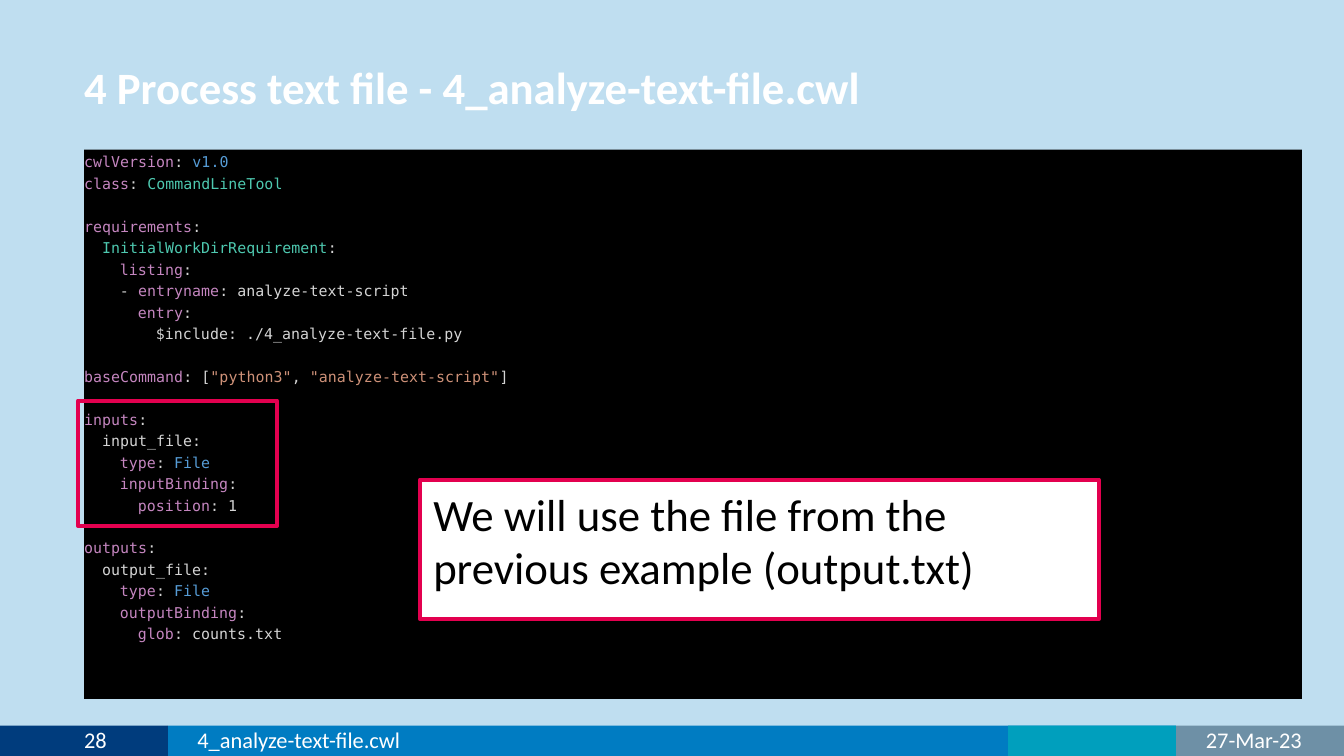
from pptx import Presentation
from pptx.dml.color import RGBColor
from pptx.enum.shapes import MSO_SHAPE
from pptx.enum.text import MSO_ANCHOR, MSO_AUTO_SIZE, PP_ALIGN
from pptx.oxml.ns import qn
from pptx.util import Inches, Pt

COLS, ROWS, UNIT = 16, 9, 0.625
INDENT = Pt(9.63)
COLORS = {
    "sky": "BFDEF0", "slate": "6E90A6", "blue": "007CC2", "navy": "003C7D",
    "teal": "009FBD", "red": "E3004F", "white": "FFFFFF", "black": "000000",
    "key": "C586C0", "code": "D4D4D4", "word": "569CD6", "kind": "4EC9B0",
    "text": "CE9178",
}
BARS = [("slate", 14, 2), ("blue", 2, 12), ("navy", 0, 2), ("teal", 12, 2)]
FOOTER = [
    ("28", 1, 0.9, PP_ALIGN.LEFT),
    ("4_analyze-text-file.cwl", 2.35, 9.65, PP_ALIGN.LEFT),
    ("27-Mar-23", 14, 1.5, PP_ALIGN.RIGHT),
]


def color(name):
    """Return the named colour."""
    return RGBColor.from_string(COLORS[name])


def grid(*cells):
    """Turn grid columns and rows into lengths."""
    return [Inches(cell * UNIT) for cell in cells]


def place(shape, *cells):
    """Move a shape to a spot on the grid."""
    shape.left, shape.top, shape.width, shape.height = grid(*cells)


def frame(shape, anchor=MSO_ANCHOR.TOP, pad=(0, 0, 0, 0)):
    """Set up and return the text frame of a shape."""
    tf = shape.text_frame
    tf.word_wrap = True
    tf.auto_size = MSO_AUTO_SIZE.NONE
    tf.vertical_anchor = anchor
    tf.margin_left, tf.margin_top, tf.margin_right, tf.margin_bottom = map(Inches, pad)
    return tf


def write(para, text, size=12, font="Calibri", tone="white", bold=False,
          align=PP_ALIGN.LEFT):
    """Add a formatted run to a paragraph."""
    para.alignment = align
    run = para.add_run()
    run.text = text
    run.font.size, run.font.name, run.font.bold = Pt(size), font, bold
    run.font.color.rgb = color(tone)


def rect(slide, *cells, fill=None, line=None):
    """Add a rectangle with an optional fill and outline."""
    shape = slide.shapes.add_shape(MSO_SHAPE.RECTANGLE, *grid(*cells))
    shape.shadow.inherit = False
    if fill:
        shape.fill.solid()
        shape.fill.fore_color.rgb = color(fill)
    else:
        shape.fill.background()
    if line:
        shape.line.color.rgb = color(line)
        shape.line.width = Pt(2.25)
    else:
        shape.line.fill.background()
    return shape


def entry(depth, key, value="", tone="code", gap=False, lead="", head="key"):
    """Describe one line of code as depth, gap and coloured runs."""
    runs = [(lead, "code"), (key, head), (": " if value else ":", "code"), (value, tone)]
    return depth, gap, [run for run in runs if run[0]]


def port(side, bind, value):
    """Describe the block for one side of the tool."""
    return [
        entry(0, f"{side}s", gap=True),
        entry(1, f"{side}_file", head="code"),
        entry(2, "type", "File", "word"),
        entry(2, f"{side}Binding"),
        entry(3, bind, value),
    ]


def listing():
    """Return all lines of code."""
    base = entry(0, "baseCommand", "[", gap=True)
    base[2].extend([('"python3"', "text"), (", ", "code"),
                    ('"analyze-text-script"', "text"), ("]", "code")])
    return [
        entry(0, "cwlVersion", "v1.0", "word"),
        entry(0, "class", "CommandLineTool", "kind"),
        entry(0, "requirements", gap=True),
        entry(1, "InitialWorkDirRequirement", head="kind"),
        entry(2, "listing"),
        entry(2, "entryname", "analyze-text-script", lead="- "),
        entry(3, "entry"),
        entry(4, "$include", "./4_analyze-text-file.py", head="code"),
        base,
        *port("input", "position", "1"),
        *port("output", "glob", "counts.txt"),
    ]


def code(body):
    """Fill the body placeholder with the code."""
    place(body, 1, 1.78, 14.5, 6.54)
    body.fill.solid()
    body.fill.fore_color.rgb = color("black")
    tf = frame(body)
    for num, (depth, gap, runs) in enumerate(listing()):
        para = tf.add_paragraph() if num else tf.paragraphs[0]
        para.line_spacing = 1.2
        para.space_before, para.space_after = Pt(11.5 if gap else 0), Pt(0)
        props = para._p.get_or_add_pPr()
        props.set("marL", str(INDENT * depth))
        props.set("indent", "0")
        props.append(props.makeelement(qn("a:buNone"), {}))
        for text, tone in runs:
            write(para, text, size=8, font="DejaVu Sans Mono", tone=tone)


def main():
    """Build and save the slide."""
    deck = Presentation()
    deck.slide_width, deck.slide_height = grid(COLS, ROWS)
    slide = deck.slides.add_slide(deck.slide_layouts[1])
    slide.background.fill.solid()
    slide.background.fill.fore_color.rgb = color("sky")
    for fill, left, width in BARS:
        rect(slide, left, 8.64, width, 0.36, fill=fill)
    title, body = slide.placeholders
    code(body)
    place(title, 1, 0, 11.6, 1.49)
    para = frame(title, MSO_ANCHOR.BOTTOM, (0, 0, 0, 0.08)).paragraphs[0]
    para.line_spacing = 0.96
    write(para, "4 Process text file - 4_analyze-text-file.cwl", size=24, bold=True)
    for text, left, width, align in FOOTER:
        box = slide.shapes.add_textbox(*grid(left, 8.61, width, 0.4))
        write(frame(box, MSO_ANCHOR.MIDDLE).paragraphs[0], text, align=align)
    rect(slide, 0.93, 4.77, 2.37, 1.49, line="red")
    note = rect(slide, 5, 5.71, 8.08, 1.66, fill="white", line="red")
    para = frame(note, pad=(0.1, 0.05, 0.1, 0.05)).paragraphs[0]
    write(para, "We will use the file from the previous example (output.txt)",
          size=24, tone="black")
    deck.save("out.pptx")


if __name__ == "__main__":
    main()
